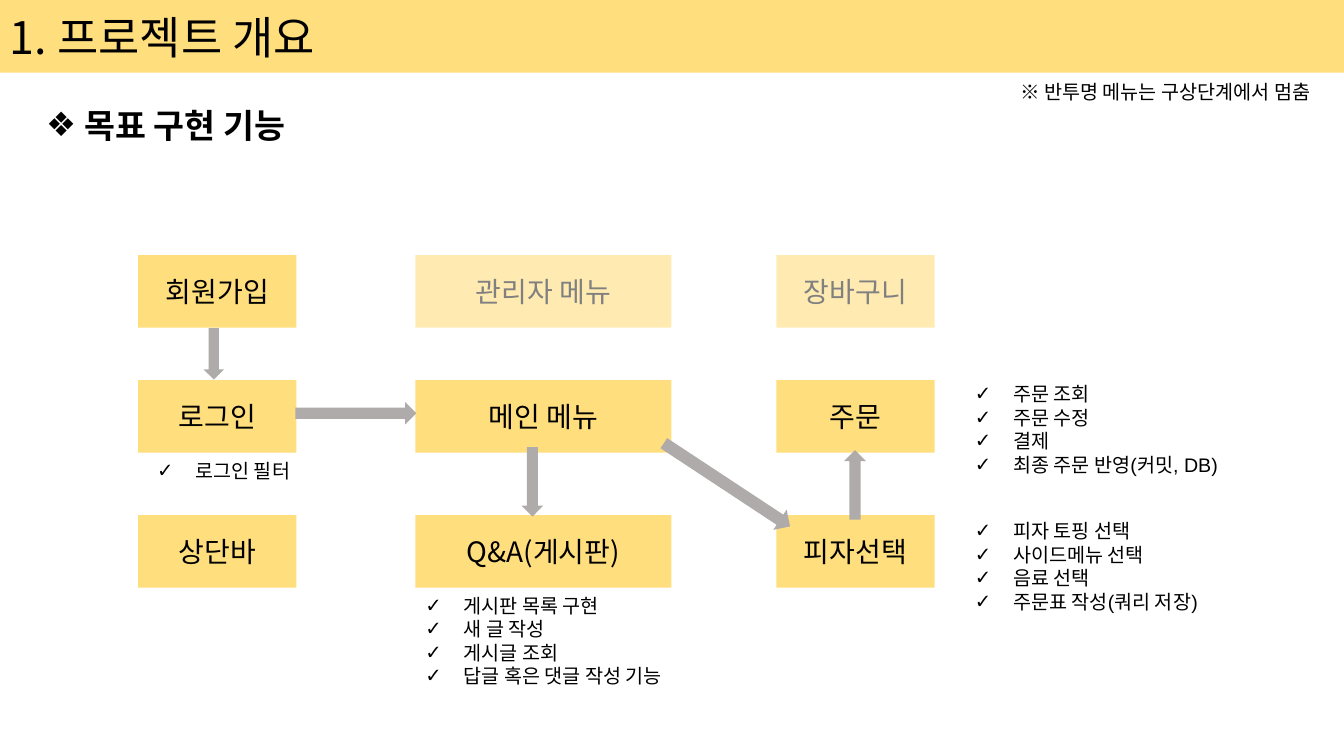
from dataclasses import dataclass

from lxml import etree
from pptx import Presentation
from pptx import util as u
from pptx.dml.color import RGBColor
from pptx.enum import shapes, text
from pptx.oxml import ns


@dataclass(frozen=True)
class Theme:
    amber: str = "FFC000"
    arrow: str = "AFABAB"
    ink: str = "000000"
    muted: str = "808080"
    solid: int = 51
    faint: int = 30
    font: str = "Noto Sans CJK KR"
    latin: str = "Arial"
    title: int = 32
    heading: int = 24
    box: int = 20
    note: int = 14


WIDTH, HEIGHT = 13.33, 7.5
BOX_HEIGHT = 0.72
COLUMNS = [(1.37, 1.57), (4.12, 2.54), (7.7, 1.57)]  # left, width
ROWS = [2.53, 3.77, 5.11]  # top
HANG = 0.38


def write(tf, lines, *, size, color, font, bold=False, align=None, bullet=None):
    """Fill a text frame with one formatted paragraph per line."""
    tf.word_wrap = True
    for i, line in enumerate(lines):
        p = tf.paragraphs[0] if i == 0 else tf.add_paragraph()
        p.alignment = align
        r = p.add_run()
        r.text = line
        r.font.size, r.font.bold, r.font.name = u.Pt(size), bold, font
        r.font.color.rgb = RGBColor.from_string(color)
        ea = etree.SubElement(r.font._element, ns.qn("a:ea"))
        ea.set("typeface", Theme.font)
        if bullet:
            pPr = p._p.get_or_add_pPr()
            pPr.set("marL", str(u.Inches(HANG)))
            pPr.set("indent", str(-u.Inches(HANG)))
            etree.SubElement(pPr, ns.qn("a:buFont")).set("typeface", Theme.latin)
            etree.SubElement(pPr, ns.qn("a:buChar")).set("char", bullet)


class Deck:
    def __init__(self, theme):
        self.theme = theme
        self.prs = Presentation()
        self.prs.slide_width, self.prs.slide_height = u.Inches(WIDTH), u.Inches(HEIGHT)
        self.s = self.prs.slides.add_slide(self.prs.slide_layouts[6])

    def shape(self, kind, left, top, width, height, color, opacity=100):
        sp = self.s.shapes.add_shape(kind, *map(u.Inches, (left, top, width, height)))
        sp.shadow.inherit = False
        sp.line.fill.background()
        sp.fill.solid()
        sp.fill.fore_color.rgb = RGBColor.from_string(color)
        if opacity < 100:
            clr = sp._element.spPr.find(".//" + ns.qn("a:srgbClr"))
            etree.SubElement(clr, ns.qn("a:alpha")).set("val", str(opacity * 1000))
        return sp

    def banner(self, title):
        t = self.theme
        sp = self.shape(shapes.MSO_SHAPE.RECTANGLE, 0, 0, WIDTH, BOX_HEIGHT, t.amber, t.solid)
        sp.text_frame.vertical_anchor = text.MSO_ANCHOR.MIDDLE
        write(sp.text_frame, [title], size=t.title, color=t.ink, font=t.font,
              align=text.PP_ALIGN.LEFT)

    def box(self, label, col, row, planned=False):
        """Draw a menu box in a grid cell; a planned one is faint."""
        t = self.theme
        left, width = COLUMNS[col]
        sp = self.shape(shapes.MSO_SHAPE.RECTANGLE, left, ROWS[row], width, BOX_HEIGHT,
                        t.amber, t.faint if planned else t.solid)
        sp.text_frame.vertical_anchor = text.MSO_ANCHOR.MIDDLE
        write(sp.text_frame, [label], size=t.box, color=t.muted if planned else t.ink,
              font=t.font, align=text.PP_ALIGN.CENTER)

    def arrow(self, x, y, length, angle=0, thick=0.22):
        """Draw a block arrow centred on x, y and turned by angle degrees."""
        sp = self.shape(shapes.MSO_SHAPE.RIGHT_ARROW, x - length / 2, y - thick / 2,
                        length, thick, self.theme.arrow)
        sp.rotation = angle

    def note(self, lines, left, top, width, size=None, bold=False, bullet=None):
        t = self.theme
        size = size or t.note
        height = 0.1 + len(lines) * size / 60
        sp = self.s.shapes.add_textbox(*map(u.Inches, (left, top, width, height)))
        write(sp.text_frame, lines, size=size, color=t.ink, font=t.latin,
              bold=bold, bullet=bullet)

    def checklist(self, lines, left, top, width):
        self.note(lines, left, top, width, bullet="✓")


def main():
    deck = Deck(Theme())
    deck.banner("1. 프로젝트 개요")
    deck.note(["목표 구현 기능"], 0.36, 0.99, 5.52, Theme.heading, True, "❖")
    deck.note(["※ 반투명 메뉴는 구상단계에서 멈춤"], 10.02, 0.74, 3.54)

    menus = [["회원가입", "관리자 메뉴", "장바구니"],
             ["로그인", "메인 메뉴", "주문"],
             ["상단바", "Q&A(게시판)", "피자선택"]]
    for row, labels in enumerate(menus):
        for col, label in enumerate(labels):
            deck.box(label, col, row, planned=row == 0 and col > 0)

    deck.checklist(["로그인 필터"], 1.46, 4.5, 2.93)
    deck.checklist(["게시판 목록 구현", "새 글 작성", "게시글 조회", "답글 혹은 댓글 작성 기능"],
                   COLUMNS[1][0], 5.84, 3.15)
    deck.checklist(["주문 조회", "주문 수정", "결제", "최종 주문 반영(커밋, DB)"], 9.57, 3.74, 3.15)
    deck.checklist(["피자 토핑 선택", "사이드메뉴 선택", "음료 선택", "주문표 작성(쿼리 저장)"],
                   9.57, 5.1, 2.54)

    deck.arrow(2.12, 3.51, 0.51, 90, 0.2)
    deck.arrow(3.53, 4.1, 1.2)
    deck.arrow(5.28, 4.78, 0.69, 90)
    deck.arrow(7.21, 4.81, 1.5, 33.4, 0.24)
    deck.arrow(8.48, 4.81, 0.69, 270)

    deck.prs.save("out.pptx")


if __name__ == "__main__":
    main()
